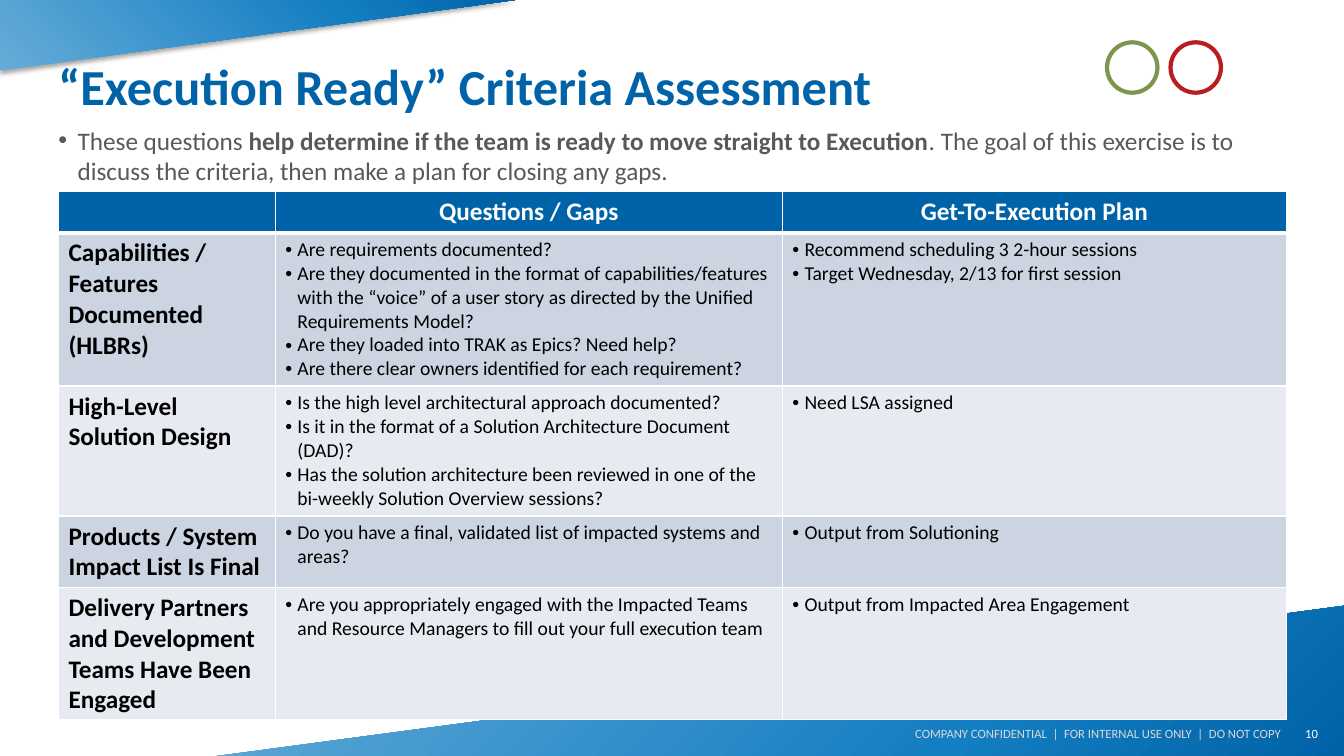
from lxml import etree
from pptx import Presentation
from pptx.dml.color import RGBColor as Rgb
from pptx.enum.shapes import MSO_SHAPE as Kind
from pptx.enum.text import MSO_ANCHOR as Anchor, PP_ALIGN as Align
from pptx.oxml import parse_xml
from pptx.oxml.ns import qn
from pptx.util import Inches, Pt

NS = 'xmlns:a="http://schemas.openxmlformats.org/drawingml/2006/main"'
HUES = {"blue": "0063A7", "mid": "147EC2", "sky": "66ACD8", "white": "FFFFFF",
        "black": "000000", "gray": "595959", "pale": "D9D9D9", "band": "CCD3E1",
        "light": "E7EAF1", "green": "7D954C", "red": "BA1C20"}

HEADS = ["", "Questions / Gaps", "Get-To-Execution Plan"]
COLS = [2.15, 5.03, 5.0]
# Height, criterion, questions, plan
ROWS = [
    (1.52, "Capabilities / Features Documented (HLBRs)",
     ["Are requirements documented?",
      "Are they documented in the format of capabilities/features with the “voice” "
      "of a user story as directed by the Unified Requirements Model?",
      "Are they loaded into TRAK as Epics? Need help?",
      "Are there clear owners identified for each requirement?"],
     ["Recommend scheduling 3 2-hour sessions",
      "Target Wednesday, 2/13 for first session"]),
    (1.29, "High-Level Solution Design",
     ["Is the high level architectural approach documented?",
      "Is it in the format of a Solution Architecture Document (DAD)?",
      "Has the solution architecture been reviewed in one of the bi-weekly "
      "Solution Overview sessions?"],
     ["Need LSA assigned"]),
    (0.71, "Products / System Impact List Is Final",
     ["Do you have a final, validated list of impacted systems and areas?"],
     ["Output from Solutioning"]),
    (1.31, "Delivery Partners and Development Teams Have Been Engaged",
     ["Are you appropriately engaged with the Impacted Teams and Resource "
      "Managers to fill out your full execution team"],
     ["Output from Impacted Area Engagement"]),
]


class Deck:
    font = "Calibri"

    def __init__(self, wide, high):
        self.prs = Presentation()
        self.prs.slide_width, self.prs.slide_height = Inches(wide), Inches(high)
        self.slide = self.prs.slides.add_slide(self.prs.slide_layouts[6])
        self.shapes = self.slide.shapes

    def hue(self, name):
        return Rgb.from_string(HUES[name])

    def para(self, par, runs, size, hue, align=Align.LEFT, dent=0):
        """Write (text, bold) runs; a dent above zero adds a bullet."""
        par.alignment = align
        if dent:
            props = par._p.get_or_add_pPr()
            props.set("marL", str(Inches(dent)))
            props.set("indent", str(-Inches(dent)))
            etree.SubElement(props, qn("a:buFont")).set("typeface", "Arial")
            etree.SubElement(props, qn("a:buChar")).set("char", "•")
        for text, bold in runs:
            run = par.add_run()
            run.text = text
            run.font.name, run.font.size, run.font.bold = self.font, Pt(size), bold
            run.font.color.rgb = self.hue(hue)

    def text(self, box, runs, size, hue, anchor=Anchor.MIDDLE, right=0.1, **look):
        frame = self.shapes.add_textbox(*map(Inches, box)).text_frame
        frame.word_wrap = True
        frame.vertical_anchor = anchor
        frame.margin_left, frame.margin_right = 0, Inches(right)
        self.para(frame.paragraphs[0], runs, size, hue, **look)

    def wedge(self, points, focus):
        """Draw a triangle whose glow is darkest at the focus corner."""
        start, *rest = [(Inches(x), Inches(y)) for x, y in points]
        form = self.shapes.build_freeform(*start)
        form.add_line_segments(rest, close=True)
        shape = form.convert_to_shape()
        shape.line.fill.background()
        shape.fill.background()
        stops = "".join(
            f'<a:gs pos="{pos}000"><a:srgbClr val="{HUES[name]}"/></a:gs>'
            for pos, name in ((0, "blue"), (32, "mid"), (100, "sky")))
        props = shape._element.spPr
        props.replace(props.find(qn("a:noFill")), parse_xml(
            f'<a:gradFill {NS} rotWithShape="1"><a:gsLst>{stops}</a:gsLst>'
            f'<a:path path="circle"><a:fillToRect {focus}/></a:path></a:gradFill>'))
        props.append(parse_xml(
            f'<a:effectLst {NS}><a:outerShdw blurRad="{Pt(3.1)}" dist="{Pt(1.8)}" '
            f'dir="5400000"><a:srgbClr val="{HUES["black"]}"><a:alpha val="35000"/>'
            '</a:srgbClr></a:outerShdw></a:effectLst>'))

    def ring(self, left, top, size, hue):
        ring = self.shapes.add_shape(Kind.OVAL, *map(Inches, (left, top, size, size)))
        ring.shadow.inherit = False
        ring.fill.solid()
        ring.fill.fore_color.rgb = self.hue("white")
        ring.line.color.rgb = self.hue(hue)
        ring.line.width = Pt(3)

    def cell(self, cell, paras, fill, size, hue, bold, top=1, base=1, **look):
        props = cell._tc.get_or_add_tcPr()
        for side, width in (("L", 1), ("R", 1), ("T", top), ("B", base)):
            props.append(parse_xml(
                f'<a:ln{side} {NS} w="{Pt(width)}"><a:solidFill>'
                f'<a:srgbClr val="{HUES["white"]}"/></a:solidFill></a:ln{side}>'))
        cell.fill.solid()
        cell.fill.fore_color.rgb = self.hue(fill)
        frame = cell.text_frame
        for i, text in enumerate(paras):
            par = frame.add_paragraph() if i else frame.paragraphs[0]
            self.para(par, [(text, bold)] if text else [], size, hue, **look)

    def table(self, left, top, cols, heads, rows, head=0.41):
        highs = [head] + [row[0] for row in rows]
        box = map(Inches, (left, top, sum(cols), sum(highs)))
        grid = self.shapes.add_table(len(highs), len(cols), *box).table
        for col, wide in zip(grid.columns, cols):
            col.width = Inches(wide)
        for row, high in zip(grid.rows, highs):
            row.height = Inches(high)
        for c, text in enumerate(heads):
            self.cell(grid.cell(0, c), [text], "blue", 18, "white", True,
                      base=3, align=Align.CENTER)
        for r, (_, name, *lists) in enumerate(rows, 1):
            fill = "band" if r % 2 else "light"
            edge = 3 if r == 1 else 1
            self.cell(grid.cell(r, 0), [name], fill, 18, "black", True, top=edge)
            for c, items in enumerate(lists, 1):
                self.cell(grid.cell(r, c), items, fill, 14, "black", False,
                          top=edge, dent=0.12)


def main():
    deck = Deck(13.33, 7.5)

    # Corner wedges
    deck.wedge([(0, 0), (5.11, 0), (0, 0.7)], 'l="100000" b="100000"')
    deck.wedge([(13.33, 6.01), (13.33, 7.5), (2.15, 7.5)], 'l="100000" t="100000"')

    # Page number, title, lead and footer
    deck.text((12.25, 7.08, 0.92, 0.4), [("10", False)], 9, "white", align=Align.RIGHT)
    deck.text((0.58, 0.3, 12.18, 1.09),
              [("“Execution Ready” Criteria Assessment", True)], 36, "blue")
    deck.text((0.58, 1.19, 12.18, 0.7),
              [("These questions ", False),
               ("help determine if the team is ready to move straight to Execution", True),
               (". The goal of this exercise is to discuss the criteria, "
                "then make a plan for closing any gaps.", False)],
              18, "gray", anchor=Anchor.TOP, dent=0.19)
    deck.text((7.5, 7.2, 5.2, 0.16),
              [("COMPANY CONFIDENTIAL  |  FOR INTERNAL USE ONLY  |  DO NOT COPY", False)],
              9, "pale", right=0, align=Align.RIGHT)

    # Criteria table
    deck.table(0.58, 1.9, COLS, HEADS, ROWS)

    # Status rings
    for i, hue in enumerate(("green", "red")):
        deck.ring(10.98 + 0.63 * i, 0.42, 0.5, hue)

    deck.prs.save("out.pptx")


if __name__ == "__main__":
    main()
